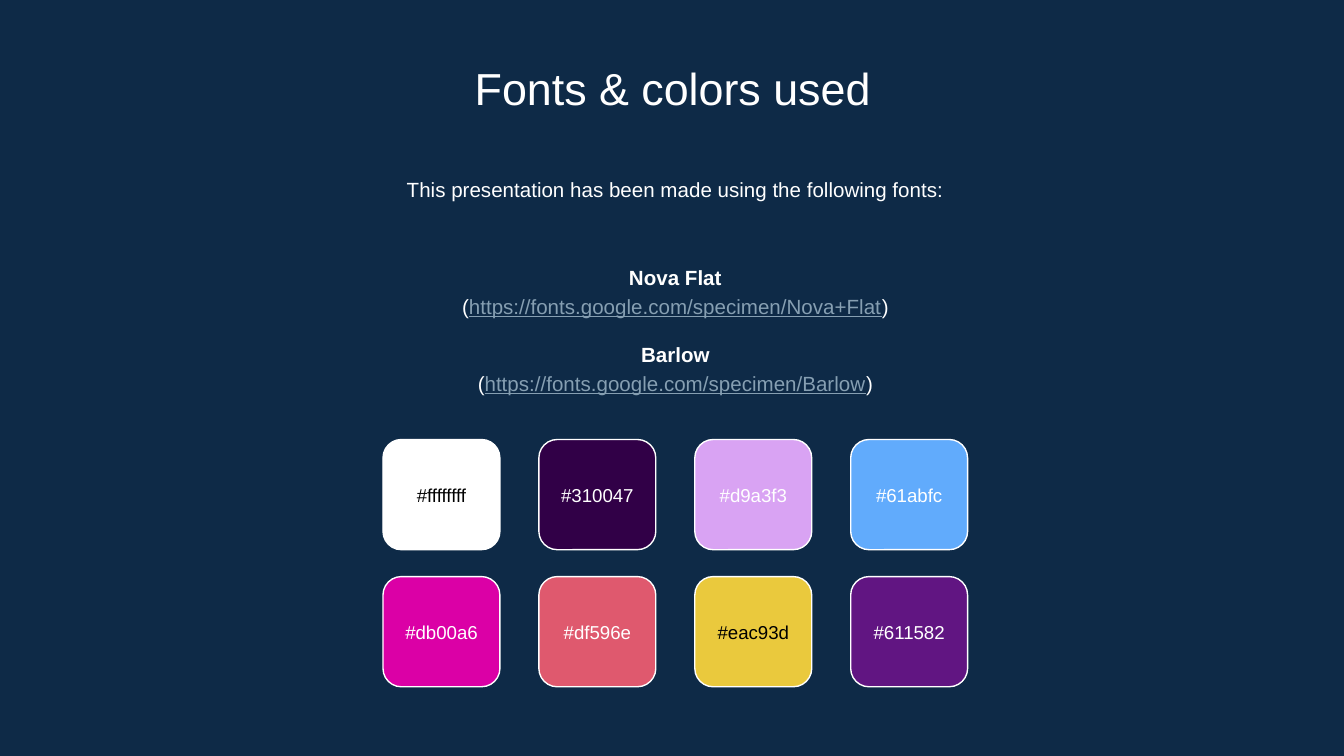
"""Build the slide that lists the fonts and colors of a presentation."""
from pptx import Presentation
from pptx.dml.color import RGBColor
from pptx.enum.shapes import MSO_SHAPE
from pptx.enum.text import MSO_ANCHOR, PP_ALIGN
from pptx.util import Inches, Pt

ROUNDED = MSO_SHAPE.ROUNDED_RECTANGLE
TOP, MIDDLE = MSO_ANCHOR.TOP, MSO_ANCHOR.MIDDLE
CENTER = PP_ALIGN.CENTER

COLORS = {"background": "0E2A47", "light": "FFFFFF", "dark": "000000", "link": "869FB2"}
FONT = "Arial"
TITLE = "Fonts & colors used"
INTRO = "This presentation has been made using the following fonts:"
FONTS_USED = [
    ("Nova Flat", "https://fonts.google.com/specimen/Nova+Flat"),
    ("Barlow", "https://fonts.google.com/specimen/Barlow"),
]
SWATCHES = [
    [("#ffffffff", "dark"), ("#310047", "light"), ("#d9a3f3", "light"), ("#61abfc", "light")],
    [("#db00a6", "light"), ("#df596e", "light"), ("#eac93d", "dark"), ("#611582", "light")],
]

SLIDE_WIDTH = 10
SLIDE_HEIGHT = SLIDE_WIDTH * 9 / 16
TEXT_LEFT, TEXT_WIDTH = 1.17, 7.71
GRID_LEFT, GRID_TOP = 2.85, 3.27
COLUMN_STEP, ROW_STEP = 1.16, 1.02
SWATCH_WIDTH, SWATCH_HEIGHT, LABEL_HEIGHT = 0.87, 0.82, 0.48
FONT_GAP = 11


def rgb(value):
    return RGBColor.from_string(value)


def write(shape, paragraphs, size=11, color="light", anchor=TOP, spacing=1.0, gap=0):
    """Fill a shape; each paragraph is (starts_group, [(text, format), ...])."""
    frame = shape.text_frame
    frame.word_wrap = True
    frame.vertical_anchor = anchor
    frame.margin_left = frame.margin_right = Inches(0.1)
    frame.margin_top = frame.margin_bottom = Inches(0.1)
    if isinstance(paragraphs, str):
        paragraphs = [(True, [(paragraphs, {})])]
    for index, (starts_group, runs) in enumerate(paragraphs):
        paragraph = frame.add_paragraph() if index else frame.paragraphs[0]
        paragraph.alignment = CENTER
        paragraph.line_spacing = spacing
        paragraph.space_before = Pt(gap if index and starts_group else 0)
        for text, style in runs:
            run = paragraph.add_run()
            run.text = text
            run.font.name = FONT
            run.font.size = Pt(size)
            run.font.bold = style.get("bold", False)
            run.font.underline = style.get("underline", False)
            run.font.color.rgb = rgb(COLORS[style.get("color", color)])


def add_text(slide, box, paragraphs, **text_format):
    shape = slide.shapes.add_textbox(*map(Inches, box))
    write(shape, paragraphs, **text_format)


def add_swatch(slide, left, top, code, label_color):
    shape = slide.shapes.add_shape(
        ROUNDED, *map(Inches, (left, top, SWATCH_WIDTH, SWATCH_HEIGHT)))
    shape.shadow.inherit = False
    shape.fill.solid()
    shape.fill.fore_color.rgb = rgb(code[1:7].upper())
    shape.line.color.rgb = rgb(COLORS["light"])
    shape.line.width = Pt(0.75)
    label_top = top + (SWATCH_HEIGHT - LABEL_HEIGHT) / 2
    add_text(slide, (left, label_top, SWATCH_WIDTH, LABEL_HEIGHT), code,
             size=10, color=label_color, anchor=MIDDLE)


def main():
    presentation = Presentation()
    presentation.slide_width = Inches(SLIDE_WIDTH)
    presentation.slide_height = Inches(SLIDE_HEIGHT)
    slide = presentation.slides.add_slide(presentation.slide_layouts[5])
    slide.background.fill.solid()
    slide.background.fill.fore_color.rgb = rgb(COLORS["background"])

    title = slide.shapes.title
    title.left, title.top, title.width, title.height = map(
        Inches, (1.15, 0.35, TEXT_WIDTH, 0.53))
    write(title, TITLE, size=24)

    add_text(slide, (TEXT_LEFT, 1.19, TEXT_WIDTH, 0.48), INTRO, spacing=1.15)
    link_style = {"color": "link", "underline": True}
    font_paragraphs = []
    for name, address in FONTS_USED:
        font_paragraphs.append((True, [(name, {"bold": True})]))
        font_paragraphs.append((False, [("(", {}), (address, link_style), (")", {})]))
    add_text(slide, (TEXT_LEFT, 1.76, TEXT_WIDTH, 1.37), font_paragraphs,
             anchor=MIDDLE, spacing=1.15, gap=FONT_GAP)

    for row, swatches in enumerate(SWATCHES):
        for column, (code, label_color) in enumerate(swatches):
            add_swatch(slide, GRID_LEFT + column * COLUMN_STEP,
                       GRID_TOP + row * ROW_STEP, code, label_color)

    presentation.save("out.pptx")


if __name__ == "__main__":
    main()
